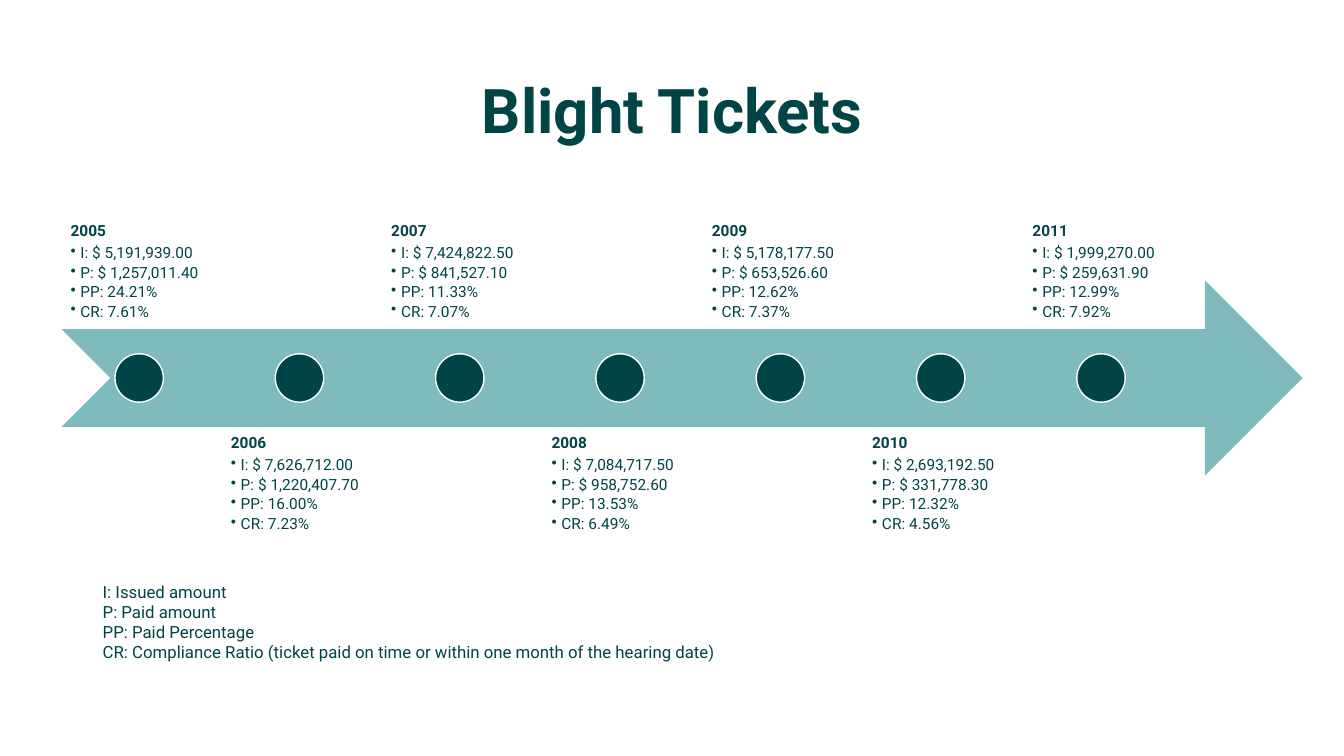
from lxml.etree import SubElement
from pptx import Presentation
from pptx.dml.color import RGBColor
from pptx.enum.shapes import MSO_SHAPE as Shape
from pptx.enum.text import MSO_ANCHOR as Anchor, PP_ALIGN as Align
from pptx.oxml.ns import qn
from pptx.util import Inches, Pt

DARK, TEAL, WHITE = "004445", "00777A", "FFFFFF"
MEASURES = ("I", "P", "PP", "CR")
TICKETS = {
    "2005": ("$ 5,191,939.00", "$ 1,257,011.40", "24.21%", "7.61%"),
    "2006": ("$ 7,626,712.00", "$ 1,220,407.70", "16.00%", "7.23%"),
    "2007": ("$ 7,424,822.50", "$ 841,527.10", "11.33%", "7.07%"),
    "2008": ("$ 7,084,717.50", "$ 958,752.60", "13.53%", "6.49%"),
    "2009": ("$ 5,178,177.50", "$ 653,526.60", "12.62%", "7.37%"),
    "2010": ("$ 2,693,192.50", "$ 331,778.30", "12.32%", "4.56%"),
    "2011": ("$ 1,999,270.00", "$ 259,631.90", "12.99%", "7.92%"),
}
LEGEND = (
    "I: Issued amount",
    "P: Paid amount",
    "PP: Paid Percentage",
    "CR: Compliance Ratio (ticket paid on time or within one month of the hearing date)",
)
LEFT, STEP = 0.61, 1.59
MARKER_LEFT, MARKER_TOP, MARKER_SIZE = 1.14, 3.51, 0.48
ABOVE, BELOW = 1.33, 4.23


def color(code):
    return RGBColor.from_string(code)


def set_bullet(para, indent):
    properties = para._p.get_or_add_pPr()
    properties.set("marL", str(Inches(indent)))
    properties.set("indent", str(-Inches(indent)))
    SubElement(properties, qn("a:buChar"), char="•")


class TimelineSlide:
    def __init__(self, deck, font="Roboto", ink=DARK):
        self.page = deck.slides.add_slide(deck.slide_layouts[5])
        self.font, self.ink = font, ink

    def add_text(self, frame, text, size=12, bold=False, align=None,
                 spacing=None, after=0, bullet=False):
        """Fill the frame's empty first paragraph, or append a new one."""
        para = frame.paragraphs[0]
        if para.runs:
            para = frame.add_paragraph()
        para.alignment, para.line_spacing = align, spacing
        para.space_after = Pt(after)
        if bullet:
            para.level = 1
            set_bullet(para, 0.06)
        span = para.add_run()
        span.text = text
        span.font.name, span.font.size, span.font.bold = self.font, Pt(size), bold
        span.font.color.rgb = color(self.ink)

    def title(self, text, left, top, width, height):
        box = self.page.shapes.title
        box.left, box.top = Inches(left), Inches(top)
        box.width, box.height = Inches(width), Inches(height)
        box.text_frame.vertical_anchor = Anchor.MIDDLE
        self.add_text(box.text_frame, text, size=44, bold=True,
                      align=Align.CENTER, spacing=0.9)

    def text_frame(self, left, top, width, height, anchor=Anchor.TOP):
        box = self.page.shapes.add_textbox(
            Inches(left), Inches(top), Inches(width), Inches(height))
        frame = box.text_frame
        frame.word_wrap, frame.vertical_anchor = True, anchor
        return frame

    def shape(self, kind, left, top, width, height, fill, line=None, opacity=None):
        shape = self.page.shapes.add_shape(
            kind, Inches(left), Inches(top), Inches(width), Inches(height))
        shape.shadow.inherit = False
        shape.fill.solid()
        shape.fill.fore_color.rgb = color(fill)
        if opacity is not None:
            tint = shape._element.spPr.find(".//" + qn("a:srgbClr"))
            SubElement(tint, qn("a:alpha"), val=str(opacity * 1000))
        if line:
            shape.line.color.rgb = color(line)
            shape.line.width = Pt(1)
        else:
            shape.line.fill.background()

    def year(self, year, values, left, top, anchor):
        frame = self.text_frame(left, top, 1.55, 1.94, anchor)
        frame.margin_left = frame.margin_right = Inches(0.09)
        frame.margin_top = frame.margin_bottom = Inches(0.09)
        self.add_text(frame, year, size=11, bold=True, spacing=0.9, after=4)
        for measure, value in zip(MEASURES, values):
            self.add_text(frame, f" {measure}: {value}", size=11, spacing=0.9,
                          after=2, bullet=True)

    def legend(self, lines, left, top, width, height):
        frame = self.text_frame(left, top, width, height)
        for line in lines:
            self.add_text(frame, line)


def main():
    deck = Presentation()
    deck.slide_width, deck.slide_height = Inches(13.33), Inches(7.5)
    slide = TimelineSlide(deck)
    slide.title("Blight Tickets", 0.92, 0.4, 11.5, 1.45)
    slide.shape(Shape.NOTCHED_RIGHT_ARROW, LEFT, 2.78, 12.31, 1.94, TEAL, opacity=50)
    for index, (year, values) in enumerate(TICKETS.items()):
        offset = index * STEP
        top, anchor = (BELOW, Anchor.TOP) if index % 2 else (ABOVE, Anchor.BOTTOM)
        slide.year(year, values, LEFT + offset, top, anchor)
        slide.shape(Shape.OVAL, MARKER_LEFT + offset, MARKER_TOP,
                    MARKER_SIZE, MARKER_SIZE, DARK, line=WHITE)
    slide.legend(LEGEND, 0.92, 5.72, 6.98, 0.91)
    deck.save("out.pptx")


if __name__ == "__main__":
    main()
